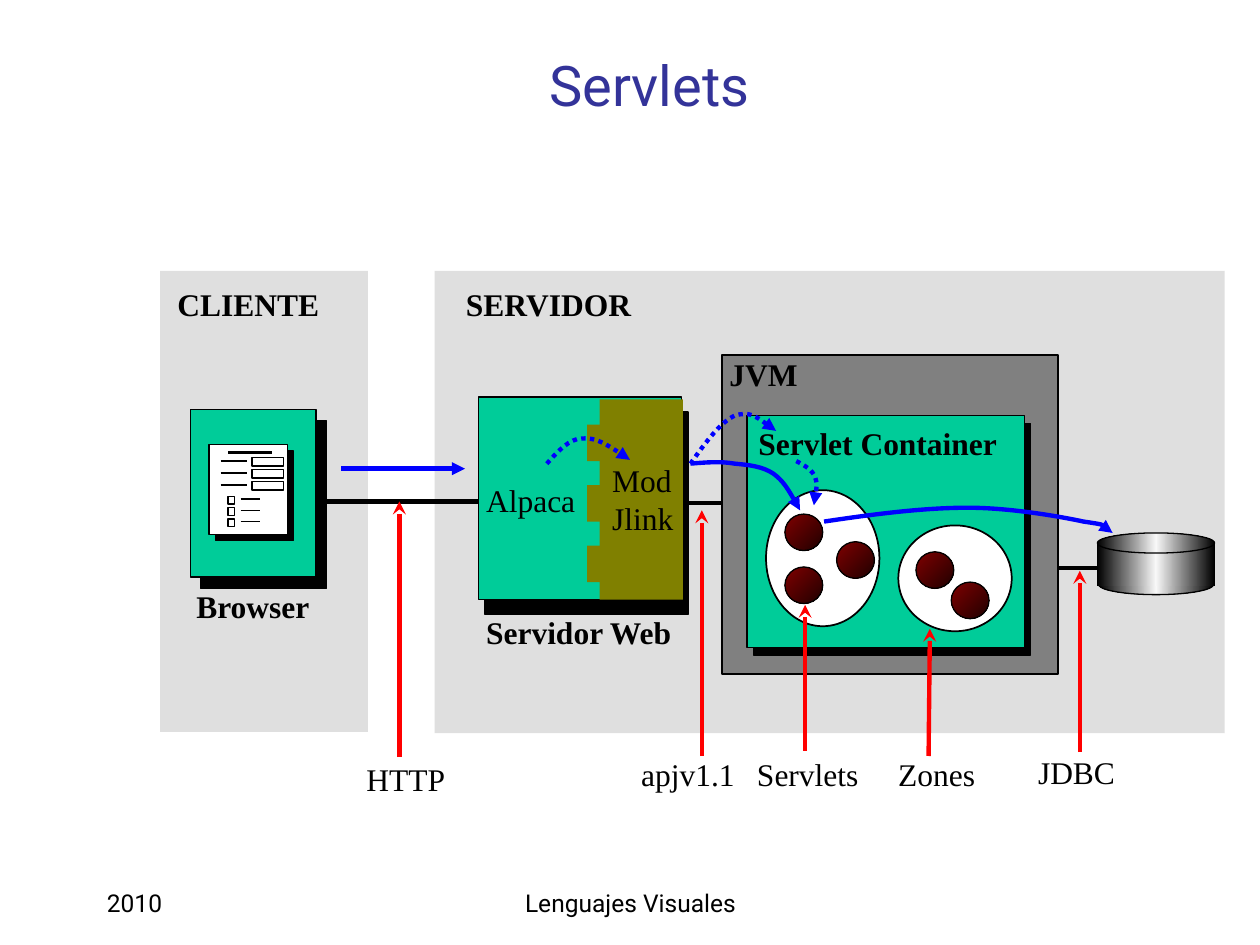
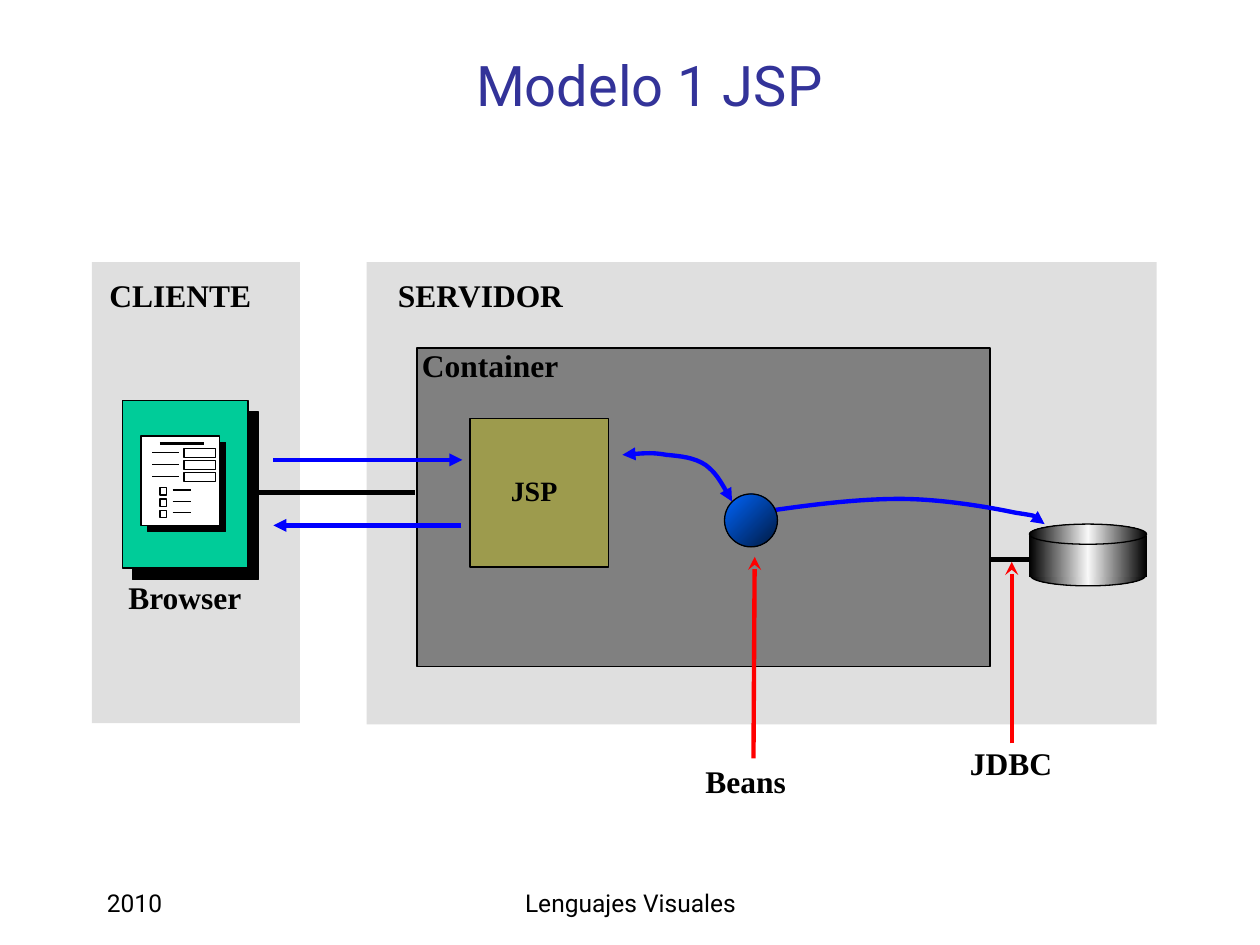
from dataclasses import dataclass

import lxml.etree
import pptx
import pptx.dml.color
import pptx.enum.dml
import pptx.enum.shapes
import pptx.enum.text
import pptx.oxml.ns
import pptx.util

RGBColor = pptx.dml.color.RGBColor
Inches = pptx.util.Inches
Pt = pptx.util.Pt
qn = pptx.oxml.ns.qn
Align = pptx.enum.text.PP_ALIGN
Anchor = pptx.enum.text.MSO_ANCHOR
Preset = pptx.enum.shapes.MSO_SHAPE

BLACK = RGBColor(0x00, 0x00, 0x00)
WHITE = RGBColor(0xFF, 0xFF, 0xFF)
SILVER = RGBColor(0xC0, 0xC0, 0xC0)
GRAY = RGBColor(0x80, 0x80, 0x80)
GREEN = RGBColor(0x00, 0xCC, 0x99)
OLIVE = RGBColor(0x80, 0x80, 0x00)
KHAKI = RGBColor(0x9D, 0x9B, 0x4D)
RED = RGBColor(0xFF, 0x00, 0x00)
BLUE = RGBColor(0x00, 0x00, 0xFF)
INDIGO = RGBColor(0x33, 0x33, 0x99)
SHINE = RGBColor(0xF8, 0xF8, 0xF8)
MAROON = (RGBColor(0x80, 0x00, 0x00), RGBColor(0x20, 0x00, 0x00))
AZURE = (RGBColor(0x00, 0x66, 0xFF), RGBColor(0x00, 0x19, 0x3F))
METAL = (BLACK, SHINE, BLACK)

SANS = "Roboto"
SERIF = "Times New Roman"
THICK = 2.5
THIN = 0.75
Point = tuple[float, float]


@dataclass(frozen=True)
class Box:
    left: float
    top: float
    width: float
    height: float

    def moved(self, dx: float, dy: float) -> "Box":
        return Box(self.left + dx, self.top + dy, self.width, self.height)

    def lengths(self) -> tuple:
        return tuple(Inches(v) for v in (self.left, self.top, self.width, self.height))


@dataclass(frozen=True)
class Label:
    text: str
    left: float
    top: float
    width: float
    bold: bool = True
    height: float = 0.4


@dataclass(frozen=True)
class Flow:
    points: tuple[Point, ...]
    dotted: bool = False
    both_ends: bool = False


CALL = Flow(((5.48, 3.68), (5.6, 3.67), (5.72, 3.66), (5.83, 3.68), (5.94, 3.69),
             (6.05, 3.7), (6.14, 3.76), (6.22, 3.82), (6.29, 3.94), (6.35, 4.05)))
QUERY = Flow(((6.54, 4.14), (6.94, 4.08), (7.33, 4.03), (7.68, 4.03), (8.02, 4.03),
              (8.41, 4.1), (8.6, 4.14), (8.8, 4.17), (8.81, 4.2), (8.83, 4.23)))
DISPATCHES = (
    Flow(((4.34, 3.68), (4.43, 3.58), (4.52, 3.48), (4.62, 3.48),
          (4.73, 3.47), (4.87, 3.56), (5, 3.65)), dotted=True),
    Flow(((5.48, 3.68), (5.6, 3.51), (5.72, 3.35), (5.83, 3.3),
          (5.95, 3.26), (6.05, 3.34), (6.16, 3.42)), dotted=True),
    Flow(((6.32, 3.66), (6.38, 3.69), (6.45, 3.73), (6.47, 3.79),
          (6.49, 3.85), (6.47, 3.93), (6.46, 4.01)), dotted=True),
)


def format_text(frame, size: float, font: str, color: RGBColor, bold: bool = False,
                align=Align.LEFT) -> None:
    for paragraph in frame.paragraphs:
        paragraph.alignment = align
        for run in paragraph.runs:
            run.font.size = Pt(size)
            run.font.name = font
            run.font.bold = bold
            run.font.color.rgb = color


def add_gradient(shape, colors: tuple, angle: int) -> None:
    shape.fill.gradient()
    shape.fill.gradient_angle = -angle % 360
    stops = shape._element.spPr.find(qn("a:gradFill")).find(qn("a:gsLst"))
    for stop in list(stops):
        stops.remove(stop)
    for index, color in enumerate(colors):
        position = 100000 * index // (len(colors) - 1)
        stop = lxml.etree.SubElement(stops, qn("a:gs"), pos=str(position))
        lxml.etree.SubElement(stop, qn("a:srgbClr"), val=str(color))


def add_arrowheads(outline, head: str | None, tail: str | None) -> None:
    for tag, kind in (("a:headEnd", head), ("a:tailEnd", tail)):
        if kind:
            lxml.etree.SubElement(outline, qn(tag), type=kind)


class Diagram:
    def __init__(self, deck, title: str, dx: float = 0, dy: float = 0) -> None:
        self.slide = deck.slides.add_slide(deck.slide_layouts[5])
        self.shapes = self.slide.shapes
        self.dx, self.dy = dx, dy
        heading = self.shapes.title
        heading.left, heading.top, heading.width, heading.height = Box(
            1.06, 0.21, 8.19, 0.92).lengths()
        heading.text_frame.text = title
        heading.text_frame.vertical_anchor = Anchor.MIDDLE
        format_text(heading.text_frame, 32, SANS, INDIGO, align=Align.CENTER)
        for text, place, align in (("2010", Box(0.75, 7, 2.08, 0.33), Align.LEFT),
                                   ("Lenguajes Visuales", Box(3.42, 7, 3.17, 0.33), Align.CENTER)):
            footer = self.shapes.add_textbox(*place.lengths()).text_frame
            footer.word_wrap = True
            footer.text = text
            format_text(footer, 14, SANS, BLACK, align=align)

    def shape(self, box: Box, fill=None, line: float | None = THIN,
              preset=Preset.RECTANGLE, angle: int = 45):
        shape = self.shapes.add_shape(preset, *box.moved(self.dx, self.dy).lengths())
        shape.shadow.inherit = False
        if fill is None:
            shape.fill.background()
        elif isinstance(fill, RGBColor):
            shape.fill.solid()
            shape.fill.fore_color.rgb = fill
        else:
            add_gradient(shape, fill, angle)
        if line is None:
            shape.line.fill.background()
        else:
            shape.line.color.rgb = BLACK
            shape.line.width = Pt(line)
        return shape

    def label(self, label: Label) -> None:
        place = Box(label.left, label.top, label.width, label.height).moved(self.dx, self.dy)
        frame = self.shapes.add_textbox(*place.lengths()).text_frame
        frame.word_wrap = True
        frame.auto_size = pptx.enum.text.MSO_AUTO_SIZE.SHAPE_TO_FIT_TEXT
        frame.text = label.text
        format_text(frame, 18, SERIF, BLACK, label.bold)

    def line(self, start: Point, end: Point, color: RGBColor = BLACK, width: float = THICK,
             tail: str | None = None) -> None:
        ends = [Inches(v) for x, y in (start, end) for v in (x + self.dx, y + self.dy)]
        connector = self.shapes.add_connector(pptx.enum.shapes.MSO_CONNECTOR.STRAIGHT, *ends)
        connector.line.color.rgb = color
        connector.line.width = Pt(width)
        properties = connector._element.spPr
        add_arrowheads(properties.find(qn("a:ln")), None, tail)
        lxml.etree.SubElement(properties, qn("a:effectLst"))

    def pointer(self, start: Point, end: Point) -> None:
        self.line(start, end, RED, tail="stealth")

    def message(self, start: Point, end: Point) -> None:
        self.line(start, end, BLUE, tail="triangle")

    def flow(self, flow: Flow) -> None:
        points = [(Inches(x + self.dx), Inches(y + self.dy)) for x, y in flow.points]
        builder = self.shapes.build_freeform(*points[0], scale=1.0)
        builder.add_line_segments(points[1:], close=False)
        curve = builder.convert_to_shape()
        curve.shadow.inherit = False
        curve.fill.background()
        curve.line.color.rgb = BLUE
        curve.line.width = Pt(THICK)
        if flow.dotted:
            curve.line.dash_style = pptx.enum.dml.MSO_LINE.ROUND_DOT
        properties = curve._element.spPr
        add_arrowheads(properties.find(qn("a:ln")),
                       "triangle" if flow.both_ends else None, "triangle")
        trace = next(properties.iter(qn("a:path")))
        segments = trace.findall(qn("a:lnTo"))
        for first in range(0, len(segments), 3):
            bezier = lxml.etree.SubElement(trace, qn("a:cubicBezTo"))
            for segment in segments[first:first + 3]:
                bezier.append(segment[0])
                trace.remove(segment)

    def raised(self, box: Box, fill: RGBColor, dx: float, dy: float) -> None:
        self.shape(box.moved(dx, dy), BLACK)
        self.shape(box, fill)

    def sphere(self, left: float, top: float) -> None:
        self.shape(Box(left, top, 0.3, 0.29), MAROON, preset=Preset.OVAL)

    def panels(self) -> None:
        for left, width, height in ((3.45, 6.27, 3.67), (1.27, 1.65, 3.66)):
            panel = self.shape(Box(left, 2.15, width, height), SILVER, None)
            tint = next(panel._element.spPr.iter(qn("a:srgbClr")))
            lxml.etree.SubElement(tint, qn("a:alpha"), val="50000")
        self.label(Label("SERVIDOR", 3.6, 2.21, 1.76))
        self.label(Label("CLIENTE", 1.31, 2.21, 1.43))

    def container(self, box: Box, name: Label) -> None:
        self.shape(box, GRAY, 1)
        self.label(name)

    def browser(self) -> None:
        self.raised(Box(1.51, 3.25, 1, 1.33), GREEN, 0.08, 0.09)
        self.raised(Box(1.66, 3.53, 0.62, 0.71), WHITE, 0.05, 0.05)
        self.line((1.81, 3.59), (2.16, 3.59), width=1.5)
        for row in range(3):
            field = 3.66 + 0.095 * row
            self.line((1.75, field), (1.96, field), width=THIN)
            self.shape(Box(2, field - 0.03, 0.25, 0.07))
            option = 3.96 + 0.09 * row
            self.line((1.91, option), (2.06, option), width=THIN)
            self.shape(Box(1.81, option - 0.02, 0.05, 0.06))
        self.label(Label("Browser", 1.46, 4.61, 1.13))

    def database(self, bold: bool) -> None:
        self.line((8.38, 4.51), (8.71, 4.51))
        self.label(Label("JDBC", 8.14, 5.93, 1.13, bold))
        self.pointer((8.57, 5.97), (8.57, 4.53))
        self.shape(Box(8.72, 4.56, 0.91, 0.16), METAL, preset=Preset.OVAL, angle=0)
        self.shape(Box(8.71, 4.32, 0.93, 0.33), METAL, None, angle=0)
        self.shape(Box(8.71, 4.23, 0.93, 0.16), METAL, preset=Preset.OVAL, angle=0)
        for side in (8.71, 9.64):
            self.line((side, 4.32), (side, 4.65), width=THIN)


def draw_servlets(deck) -> None:
    diagram = Diagram(deck, "Servlets")
    diagram.panels()
    diagram.database(bold=False)
    diagram.line((5.44, 3.99), (5.99, 3.99))
    diagram.container(Box(5.73, 2.82, 2.67, 2.53), Label("JVM", 5.69, 2.77, 0.81))
    diagram.raised(Box(5.93, 3.3, 2.2, 1.84), GREEN, 0.05, 0.06)
    diagram.label(Label("Servlet Container", 5.92, 3.32, 2.19))
    for zone in (Box(6.08, 3.89, 0.9, 1.08), Box(7.13, 4.17, 0.9, 0.84)):
        diagram.shape(zone, WHITE, 1, Preset.OVAL)
    for left, top in ((6.23, 4.5), (6.64, 4.3), (7.55, 4.62), (7.27, 4.38)):
        diagram.sphere(left, top)
    diagram.line((2.49, 3.98), (3.82, 3.98))
    diagram.raised(Box(3.8, 3.15, 1.61, 1.61), GREEN, 0.05, 0.12)
    diagram.browser()
    diagram.shape(Box(4.76, 3.17, 0.66, 1.59), OLIVE, None)
    for tooth in range(3):
        diagram.shape(Box(4.66, 3.37 + 0.48 * tooth, 0.22, 0.29), OLIVE, None)
    for label in (Label("Servidor Web", 3.76, 4.82, 1.76),
                  Label("Mod\nJlink", 4.76, 3.61, 0.81, False, 0.7),
                  Label("Alpaca", 3.76, 3.77, 0.98, False),
                  Label("HTTP", 2.81, 5.98, 0.97, False),
                  Label("apjv1.1", 4.99, 5.94, 0.96, False),
                  Label("Servlets", 5.91, 5.94, 1.13, False),
                  Label("Zones", 7.03, 5.94, 0.85, False)):
        diagram.label(label)
    for start, end in (((3.17, 6.01), (3.17, 3.98)), ((5.57, 6), (5.57, 4.05)),
                       ((6.39, 5.96), (6.39, 4.8)), ((7.37, 6), (7.38, 4.99))):
        diagram.pointer(start, end)
    diagram.message((2.71, 3.72), (3.69, 3.72))
    for flow in (CALL, QUERY, *DISPATCHES):
        diagram.flow(flow)
    diagram.sphere(6.23, 4.08)


def draw_jsp_model(deck) -> None:
    diagram = Diagram(deck, "Modelo 1 JSP", -0.54, -0.07)
    diagram.panels()
    diagram.database(bold=True)
    diagram.container(Box(3.85, 2.83, 4.55, 2.53), Label("Container", 3.79, 2.77, 4.28))
    diagram.line((2.49, 3.98), (3.83, 3.98))
    diagram.browser()
    diagram.label(Label("Beans", 6.04, 6.07, 1.13))
    diagram.pointer((6.52, 6.09), (6.53, 4.49))
    diagram.message((2.71, 3.72), (4.21, 3.72))
    diagram.message((4.2, 4.24), (2.71, 4.24))
    diagram.flow(Flow(CALL.points, both_ends=True))
    diagram.flow(QUERY)
    diagram.shape(Box(6.29, 3.99, 0.42, 0.42), AZURE, preset=Preset.OVAL)
    page = diagram.shape(Box(4.27, 3.39, 1.1, 1.18), KHAKI).text_frame
    page.text = "JSP"
    page.vertical_anchor = Anchor.MIDDLE
    page.margin_right = Inches(0.18)
    page.margin_bottom = Inches(0.09)
    format_text(page, 16, SERIF, BLACK, True, Align.CENTER)


presentation = pptx.Presentation()
presentation.slide_width = Inches(10)
presentation.slide_height = Inches(7.5)
draw_servlets(presentation)
draw_jsp_model(presentation)
presentation.save("out.pptx")
